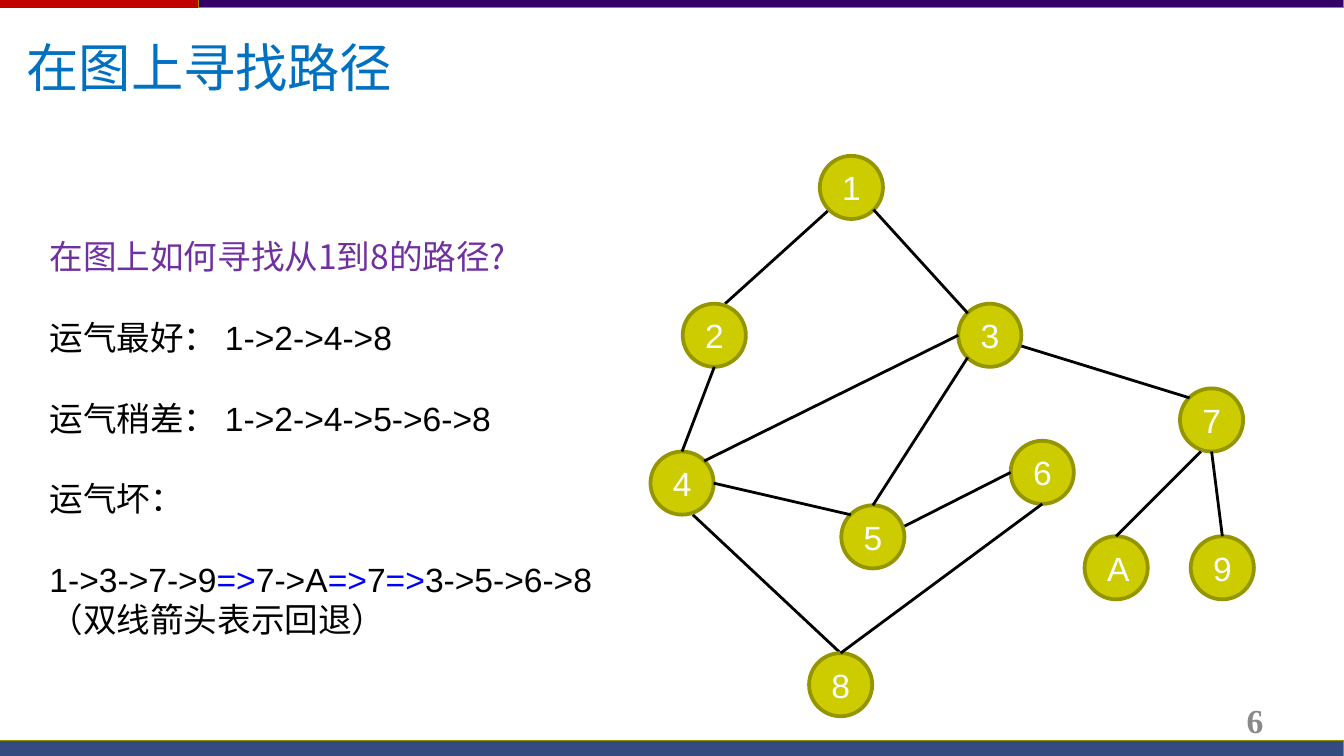
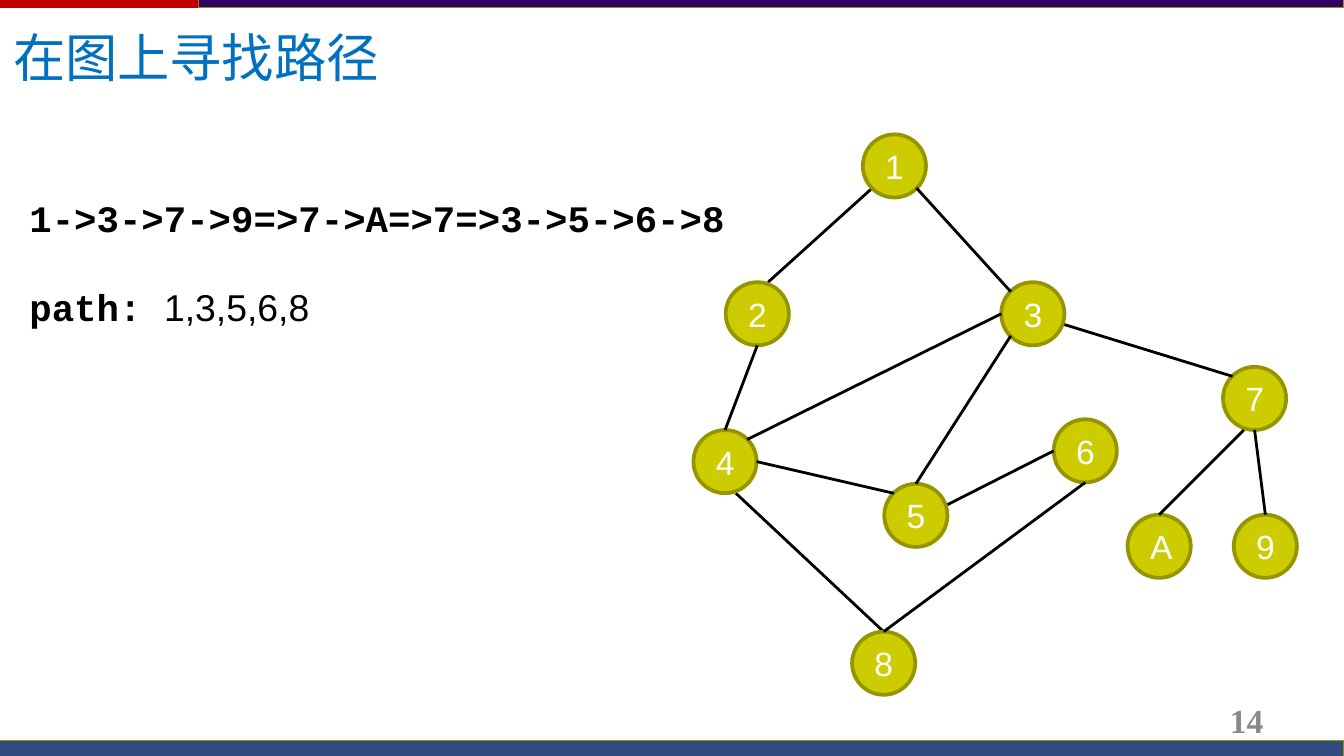
from lxml import etree
from pptx import Presentation
from pptx.dml.color import RGBColor
from pptx.enum import shapes, text
from pptx.oxml import ns
from pptx.util import Inches, Pt

RED = RGBColor(0xC0, 0x00, 0x00)
INDIGO = RGBColor(0x33, 0x00, 0x66)
NAVY = RGBColor(0x00, 0x20, 0x60)
OLIVE = RGBColor(0x95, 0x95, 0x00)
YELLOW = RGBColor(0xCC, 0xCC, 0x00)
GREY = RGBColor(0x89, 0x89, 0x89)
SKY = RGBColor(0x00, 0x70, 0xC0)
PURPLE = RGBColor(0x70, 0x30, 0xA0)
BLUE = RGBColor(0x00, 0x00, 0xFF)
BLACK = RGBColor(0x00, 0x00, 0x00)
WHITE = RGBColor(0xFF, 0xFF, 0xFF)

CJK = "Noto Sans CJK SC"
LATIN = "Arial"
MONO = "Courier New"
SERIF = "Times New Roman"

TITLE = "在图上寻找路径"
NODE_SIZE = 0.47
NODES = {
    "1": (6.1, 1.16), "2": (5.08, 2.26), "3": (7.13, 2.26),
    "4": (4.84, 3.36), "5": (6.26, 3.76), "6": (7.52, 3.28),
    "7": (8.78, 2.89), "8": (6.02, 4.86), "9": (8.86, 3.99),
    "A": (8.07, 3.99),
}

RADIUS = NODE_SIZE / 2
DIAGONAL = RADIUS * 0.7
NUDGE = 0.08
PORTS = {
    "top": (0, -RADIUS), "bottom": (0, RADIUS),
    "left": (-RADIUS, 0), "right": (RADIUS, 0),
    "top left": (-DIAGONAL, -DIAGONAL), "top right": (DIAGONAL, -DIAGONAL),
    "bottom left": (-DIAGONAL, DIAGONAL), "bottom right": (DIAGONAL, DIAGONAL),
    "top, nudged right": (NUDGE, -RADIUS),
    "bottom, nudged right": (NUDGE, RADIUS),
    "bottom, nudged left": (-NUDGE, RADIUS),
    "right, nudged up": (RADIUS, -NUDGE),
    "right, nudged down": (RADIUS, NUDGE),
}
EDGES_BEHIND = [
    ("8", "top", "4", "bottom, nudged right"),
    ("2", "top, nudged right", "1", "bottom left"),
]
EDGES_IN_FRONT = [
    ("4", "top", "2", "bottom"),
    ("4", "right", "5", "top left"),
    ("3", "top left", "1", "bottom right"),
    ("5", "top", "3", "bottom left"),
    ("8", "top", "6", "bottom"),
    ("6", "left", "5", "right, nudged up"),
    ("7", "top left", "3", "right, nudged down"),
    ("4", "top right", "3", "left"),
    ("7", "bottom", "9", "top"),
    ("7", "bottom, nudged left", "A", "top"),
]


def inches(*values):
    return [Inches(v) for v in values]


def add_bar(slide, box, fill, line=None, alpha=None):
    sp = slide.shapes.add_shape(shapes.MSO_SHAPE.RECTANGLE, *inches(*box))
    sp.shadow.inherit = False
    sp.fill.solid()
    sp.fill.fore_color.rgb = fill
    if alpha:
        color = sp._element.spPr.find(ns.qn("a:solidFill"))[0]
        etree.SubElement(color, ns.qn("a:alpha"), val=str(alpha * 1000))
    if line is None:
        sp.line.fill.background()
    else:
        sp.line.color.rgb = line
        sp._element.spPr.find(ns.qn("a:ln")).set("w", "0")


def add_run(p, words, font, size, color, bold=False):
    r = p.add_run()
    r.text = words
    r.font.name = font
    r.font.size = Pt(size)
    r.font.color.rgb = color
    r.font.bold = bold
    etree.SubElement(r.font._element, ns.qn("a:ea"), typeface=CJK)


def add_text(slide, box, paragraphs, size, anchor=text.MSO_ANCHOR.TOP,
             align=text.PP_ALIGN.LEFT, gap=0, line_spacing=None, grow=False):
    tf = slide.shapes.add_textbox(*inches(*box)).text_frame
    tf.word_wrap = True
    tf.vertical_anchor = anchor
    if grow:
        tf.auto_size = text.MSO_AUTO_SIZE.SHAPE_TO_FIT_TEXT
    for i, runs in enumerate(paragraphs):
        p = tf.add_paragraph() if i else tf.paragraphs[0]
        p.alignment = align
        if i:
            p.space_before = Pt(gap)
        if line_spacing:
            p.line_spacing = Pt(line_spacing)
        for words, font, color, *bold in runs:
            add_run(p, words, font, size, color, *bold)


def add_node(slide, label, left, top):
    sp = slide.shapes.add_shape(
        shapes.MSO_SHAPE.OVAL, *inches(left, top, NODE_SIZE, NODE_SIZE))
    sp.shadow.inherit = False
    sp.fill.solid()
    sp.fill.fore_color.rgb = YELLOW
    sp.line.color.rgb = OLIVE
    sp.line.width = Pt(2)
    tf = sp.text_frame
    tf.vertical_anchor = text.MSO_ANCHOR.MIDDLE
    p = tf.paragraphs[0]
    p.text = label
    p.alignment = text.PP_ALIGN.CENTER
    p.font.name = LATIN
    p.font.size = Pt(18)
    p.font.color.rgb = WHITE


def add_edge(slide, start, end):
    line = slide.shapes.add_connector(
        shapes.MSO_CONNECTOR.STRAIGHT, *inches(*start, *end))
    line.line.color.rgb = BLACK
    line.line.width = Pt(1.5)
    etree.SubElement(line._element.spPr, ns.qn("a:effectLst"))


def add_graph(slide, dx=0, dy=0):
    def port(node, side):
        left, top = NODES[node]
        x, y = PORTS[side]
        return left + RADIUS + x + dx, top + RADIUS + y + dy

    def add_edges(edges):
        for first, first_side, second, second_side in edges:
            add_edge(slide, port(first, first_side), port(second, second_side))

    add_edges(EDGES_BEHIND)
    for label, (left, top) in NODES.items():
        add_node(slide, label, left + dx, top + dy)
    add_edges(EDGES_IN_FRONT)


def add_base_slide(prs, number, title_left, title_top):
    slide = prs.slides.add_slide(prs.slide_layouts[6])
    add_bar(slide, (0, 0, 10, 0.06), RED)
    add_bar(slide, (1.48, 0, 8.52, 0.06), INDIGO, OLIVE)
    add_bar(slide, (0, 5.51, 10, 0.12), NAVY, OLIVE, alpha=80)
    add_text(slide, (7.17, 5.21, 2.33, 0.3), [[(number, SERIF, GREY, True)]],
             18, text.MSO_ANCHOR.MIDDLE, text.PP_ALIGN.RIGHT)
    add_text(slide, (title_left, title_top, 8.75, 0.74),
             [[(TITLE, CJK, SKY)]], 28)
    return slide


def add_search_slide(prs):
    slide = add_base_slide(prs, "6", 0.1, 0.21)
    add_graph(slide)
    back = ("=>", LATIN, BLUE)
    paragraphs = [
        [("在图上如何寻找从1到8的路径?", CJK, PURPLE)],
        [("运气最好： ", CJK, BLACK), ("1->2->4->8", LATIN, BLACK)],
        [("运气稍差： ", CJK, BLACK), ("1->2->4->5->6->8", LATIN, BLACK)],
        [("运气坏：", CJK, BLACK)],
        [("1->3->7->9", LATIN, BLACK), back, ("7->A", LATIN, BLACK), back,
         ("7", LATIN, BLACK), back,
         ("3->5->6->8（双线箭头表示回退）", LATIN, BLACK)],
    ]
    add_text(slide, (0.27, 1.71, 4.33, 3.1), paragraphs, 18,
             gap=21.6, line_spacing=21.6, grow=True)


def add_result_slide(prs):
    slide = add_base_slide(prs, "14", 0, 0.14)
    add_graph(slide, 0.32, -0.16)
    paragraphs = [
        [("1->3->7->9=>7->A=>7=>3->5->6->8", MONO, BLACK, True)],
        [("path: ", MONO, BLACK, True), ("1,3,5,6,8", LATIN, BLACK)],
    ]
    add_text(slide, (0.12, 1.4, 6.22, 1.1), paragraphs, 20,
             text.MSO_ANCHOR.MIDDLE, gap=24, grow=True)


def main():
    prs = Presentation()
    prs.slide_width = Inches(10)
    prs.slide_height = prs.slide_width * 9 // 16
    add_search_slide(prs)
    add_result_slide(prs)
    prs.save("out.pptx")


if __name__ == "__main__":
    main()
